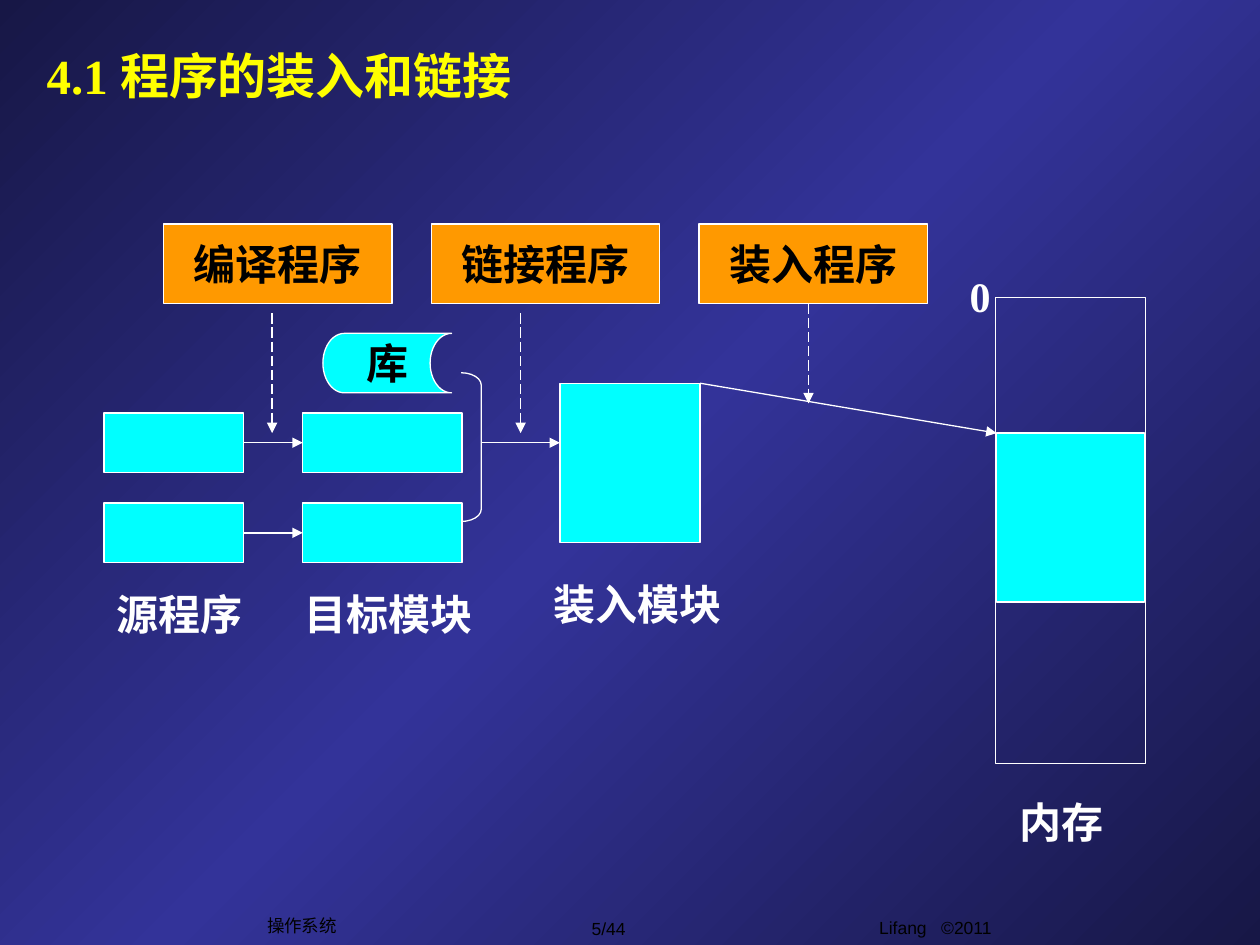
import copy
from dataclasses import dataclass
from typing import Optional

import pptx
import pptx.dml.color
import pptx.enum.dml
import pptx.enum.shapes
import pptx.enum.text
import pptx.oxml.ns
import pptx.oxml.xmlchemy
import pptx.util

Pt = pptx.util.Pt
RGB = pptx.dml.color.RGBColor
Kind = pptx.enum.shapes.MSO_SHAPE
Align = pptx.enum.text.PP_ALIGN
Anchor = pptx.enum.text.MSO_ANCHOR
qn = pptx.oxml.ns.qn
make = pptx.oxml.xmlchemy.OxmlElement

NAVY = RGB(0x17, 0x17, 0x46)
BLUE = RGB(0x33, 0x33, 0x99)
CYAN = RGB(0x00, 0xFF, 0xFF)
ORANGE = RGB(0xFF, 0x99, 0x00)
YELLOW = RGB(0xFF, 0xFF, 0x00)
WHITE = RGB(0xFF, 0xFF, 0xFF)
BLACK = RGB(0x00, 0x00, 0x00)
SERIF, SANS = "Times New Roman", "Arial"


@dataclass
class Box:
    x: float
    y: float
    w: float
    h: float
    fill: Optional[RGB] = CYAN
    text: str = ""
    kind: Kind = Kind.RECTANGLE


@dataclass
class Label:
    x: float
    y: float
    w: float
    h: float
    text: str


@dataclass
class Arrow:
    x1: float
    y1: float
    x2: float
    y2: float
    dash: bool = False


def style(para, size: float, color: RGB, name: str = SERIF, bold: bool = True) -> None:
    font = para.font
    font.size, font.name, font.bold = Pt(size), name, bold
    font.color.rgb = color


def draw_box(slide, box: Box):
    shape = slide.shapes.add_shape(box.kind, Pt(box.x), Pt(box.y), Pt(box.w), Pt(box.h))
    shape.shadow.inherit = False
    if box.fill is None:
        shape.fill.background()
    else:
        shape.fill.solid()
        shape.fill.fore_color.rgb = box.fill
    shape.line.color.rgb = WHITE
    shape.line.width = Pt(0.75)
    if box.text:
        frame = shape.text_frame
        frame.word_wrap = False
        frame.vertical_anchor = Anchor.MIDDLE
        frame.text = box.text
        frame.paragraphs[0].alignment = Align.CENTER
        style(frame.paragraphs[0], 24, BLACK)
    return shape


def draw_label(slide, label: Label):
    shape = slide.shapes.add_textbox(Pt(label.x), Pt(label.y), Pt(label.w), Pt(label.h))
    frame = shape.text_frame
    frame.word_wrap = True
    frame.text = label.text
    style(frame.paragraphs[0], 24, WHITE)
    return frame


def draw_foot(slide, label: Label) -> None:
    frame = draw_label(slide, label)
    frame.word_wrap = False
    frame.vertical_anchor = Anchor.MIDDLE
    frame.paragraphs[0].alignment = Align.CENTER
    style(frame.paragraphs[0], 10, BLACK, SANS, False)


def draw_arrow(slide, arrow: Arrow) -> None:
    link = slide.shapes.add_connector(
        pptx.enum.shapes.MSO_CONNECTOR.STRAIGHT,
        Pt(arrow.x1), Pt(arrow.y1), Pt(arrow.x2), Pt(arrow.y2))
    link.line.color.rgb = WHITE
    link.line.width = Pt(0.75)
    if arrow.dash:
        link.line.dash_style = pptx.enum.dml.MSO_LINE.LONG_DASH
    props = link._element.spPr
    tail = make("a:tailEnd")
    tail.set("type", "triangle")
    props.find(qn("a:ln")).append(tail)
    props.append(make("a:effectLst"))


def paint_back(slide) -> None:
    fill = slide.background.fill
    fill.gradient()
    fill.gradient_angle = 315
    stops = next(slide.element.iter(qn("a:gsLst")))
    stops.append(copy.deepcopy(stops[-1]))
    for stop, color, place in zip(fill.gradient_stops, (NAVY, BLUE, NAVY), (0, 0.5, 1)):
        stop.color.rgb = color
        stop.position = place


def draw_title(slide, text: str) -> None:
    title = slide.shapes.title
    title.left, title.top, title.width, title.height = Pt(19.5), Pt(20), Pt(391), Pt(45.5)
    frame = title.text_frame
    frame.text = text
    frame.vertical_anchor = Anchor.MIDDLE
    frame.paragraphs[0].alignment = Align.LEFT
    style(frame.paragraphs[0], 28, YELLOW)


# Rows of the two source programs and their object modules
ROWS = (236, 287.5)
ROW_H = 34
MIDS = [y + ROW_H / 2 for y in ROWS]

BOXES = [Box(569.5, 247.5, 84.5, 96.5), Box(569, 170, 85.5, 266.5, None)]
BOXES += [Box(x, y, w, ROW_H) for x, w in ((59.5, 79.5), (173, 91)) for y in ROWS]
BOXES += [Box(93.5 + 153 * i, 128, 130.5, 45.5, ORANGE, text)
          for i, text in enumerate(("编译程序", "链接程序", "装入程序"))]
BOXES += [Box(184.5, 190.5, 73.5, ROW_H, CYAN, "库", Kind.FLOWCHART_STORED_DATA),
          Box(320, 219, 80, 91)]

LABELS = [
    Label(547, 151, 28, 36, "0"),
    Label(575.5, 451.5, 68.5, 36, "内存"),
    Label(59.5, 332.5, 119, 36, "源程序"),
    Label(167, 332.5, 124.5, 36, "目标模块"),
    Label(309, 327, 124.5, 36, "装入模块"),
]

ARROWS = [Arrow(139, y, 173, y) for y in MIDS]
ARROWS += [Arrow(275, MIDS[0], 320, MIDS[0]), Arrow(400, 219, 569.5, 247.5)]
ARROWS += [Arrow(x, y1, x, y2, True)
           for x, y1, y2 in ((155.5, 179, 247.5), (297.5, 179, 247.5), (462, 173.5, 230.5))]

FOOTS = [
    Label(145.5, 519, 54, 19.5, "操作系统"),
    Label(311, 521, 73.5, 19.5, "5/44"),
    Label(420.5, 520.5, 228, 19.5, "Lifang   ©2011"),
]


def main() -> None:
    deck = pptx.Presentation()
    deck.slide_width, deck.slide_height = Pt(720), Pt(540)
    slide = deck.slides.add_slide(deck.slide_layouts[5])
    paint_back(slide)
    draw_title(slide, "4.1 程序的装入和链接")

    # Footer, then the diagram
    for foot in FOOTS:
        draw_foot(slide, foot)
    for box in BOXES:
        draw_box(slide, box)
    for label in LABELS:
        draw_label(slide, label)
    for arrow in ARROWS:
        draw_arrow(slide, arrow)

    # Bracket that joins the library and the object modules
    brace = draw_box(slide, Box(263.5, 213, 11.5, 85, None, kind=Kind.RIGHT_BRACKET))
    brace.adjustments[0] = 0.61

    deck.save("out.pptx")


if __name__ == "__main__":
    main()
